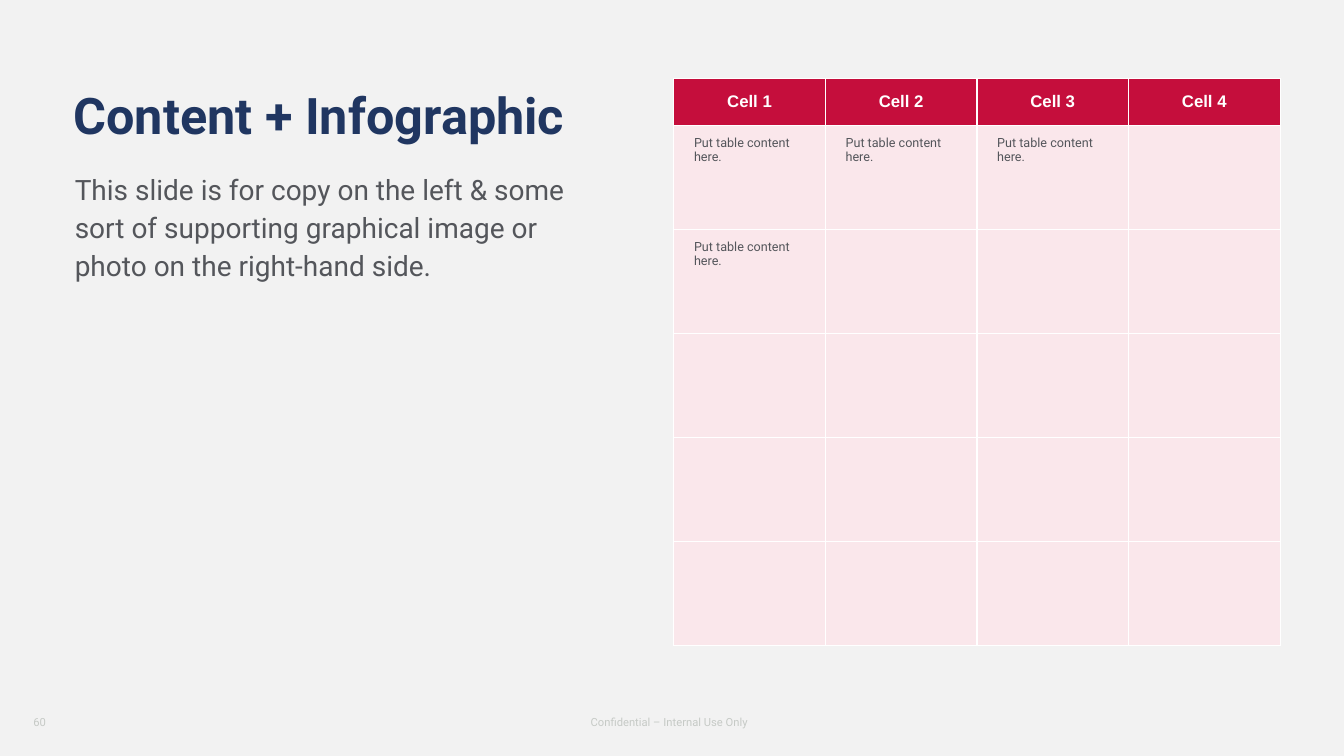
from dataclasses import dataclass
from typing import Any

from lxml.etree import SubElement
from pptx import Presentation
from pptx.dml.color import RGBColor
from pptx.enum.shapes import MSO_SHAPE
from pptx.enum.text import MSO_ANCHOR, MSO_AUTO_SIZE, PP_ALIGN
from pptx.oxml.ns import qn
from pptx.util import Cm, Pt

WHITE, RED, PINK = "FFFFFF", "C50E3C", "FAE7EB"
NAVY, GREY, PALE, BACK = "203661", "54565B", "C6CAC6", "F2F2F2"
SIDES = ("a:lnL", "a:lnR", "a:lnT", "a:lnB")


@dataclass
class Style:
    size: float
    color: str
    face: str = "Roboto"
    bold: bool = False
    align: Any = PP_ALIGN.LEFT
    space: float | None = None


@dataclass
class Block:
    text: str
    left: float
    top: float
    width: float
    height: float
    style: Style
    anchor: Any


HEAD = Style(12, WHITE, "Arial", True, PP_ALIGN.CENTER)
CELL = Style(9, GREY)
TITLE = Block("Content + Infographic", 1.6, 1.02, 30.48, 2.74,
              Style(36, NAVY, bold=True, space=0.8), MSO_ANCHOR.BOTTOM)
BODY = Block("This slide is for copy on the left & some sort of supporting "
             "graphical image or photo on the right-hand side.",
             1.63, 4.09, 13.79, 11.81, Style(20, GREY, space=1.14), MSO_ANCHOR.TOP)
NOTES = (
    Block("Confidential – Internal Use Only", 13.06, 17.78, 7.62, 0.81,
          Style(8, PALE, align=PP_ALIGN.CENTER), MSO_ANCHOR.MIDDLE),
    Block("60", 0.59, 17.78, 7.62, 0.81, Style(8, PALE), MSO_ANCHOR.MIDDLE),
)
HINT = "Put table content here."
ROWS = (
    ("Cell 1", "Cell 2", "Cell 3", "Cell 4"),
    (HINT, HINT, HINT, ""),
    (HINT, "", "", ""),
    *(("",) * 4,) * 3,
)
COL, TOP_ROW, ROW = 3.82, 1.18, 2.62


def apply(item: Any, values: dict[str, Any]) -> None:
    for name, value in values.items():
        setattr(item, name, value)


def paint(target: Any, color: str) -> None:
    target.solid()
    target.fore_color.rgb = RGBColor.from_string(color)


def write(frame: Any, text: str, style: Style) -> None:
    frame.text = text
    para = frame.paragraphs[0]
    apply(para, {"alignment": style.align, "line_spacing": style.space,
                 "space_before": Pt(0)})
    font = para.runs[0].font if text else para.font
    apply(font, {"size": Pt(style.size), "name": style.face, "bold": style.bold})
    paint(font.fill, style.color)


def place(shape: Any, block: Block) -> None:
    apply(shape, {"left": Cm(block.left), "top": Cm(block.top),
                  "width": Cm(block.width), "height": Cm(block.height)})
    apply(shape.text_frame, {"word_wrap": True, "auto_size": MSO_AUTO_SIZE.NONE,
                             "vertical_anchor": block.anchor})
    write(shape.text_frame, block.text, block.style)


def plain(para: Any) -> None:
    props = para._p.get_or_add_pPr()
    props.set("marL", "0")
    props.set("indent", "0")
    SubElement(props, qn("a:buNone"))


def panel(slide: Any, wide: int, high: int) -> None:
    shape = slide.shapes.add_shape(MSO_SHAPE.RECTANGLE, 0, 0, wide, high)
    shape.shadow.inherit = False
    paint(shape.fill, BACK)
    shape.line.fill.background()
    slide.shapes._spTree.insert(2, shape._element)


def border(cell: Any) -> None:
    props = cell._tc.get_or_add_tcPr()
    for spot, side in enumerate(SIDES):
        line = SubElement(props, qn(side), w=str(Pt(1)))
        fill = SubElement(line, qn("a:solidFill"))
        SubElement(fill, qn("a:srgbClr"), val=WHITE)
        props.insert(spot, line)


def grid(slide: Any) -> None:
    wide, deep = len(ROWS[0]), len(ROWS)
    table = slide.shapes.add_table(
        deep, wide, Cm(16.98), Cm(1.98), Cm(COL * wide),
        Cm(TOP_ROW + ROW * (deep - 1))).table
    for col in table.columns:
        col.width = Cm(COL)
    for y, texts in enumerate(ROWS):
        head = y == 0
        table.rows[y].height = Cm(TOP_ROW if head else ROW)
        side, edge = (Cm(0.25), Cm(0.13)) if head else (Cm(0.51), Cm(0.25))
        for x, text in enumerate(texts):
            cell = table.cell(y, x)
            apply(cell, {
                "margin_left": side, "margin_right": side,
                "margin_top": edge, "margin_bottom": edge,
                "vertical_anchor": MSO_ANCHOR.MIDDLE if head else MSO_ANCHOR.TOP})
            write(cell.text_frame, text, HEAD if head else CELL)
            paint(cell.fill, RED if head else PINK)
            border(cell)


def main() -> None:
    deck = Presentation()
    apply(deck, {"slide_width": Cm(33.87), "slide_height": Cm(19.05)})
    slide = deck.slides.add_slide(deck.slide_layouts[1])
    panel(slide, deck.slide_width, deck.slide_height)
    place(slide.shapes.title, TITLE)
    body = slide.placeholders[1]
    place(body, BODY)
    plain(body.text_frame.paragraphs[0])
    for note in NOTES:
        place(slide.shapes.add_textbox(0, 0, 0, 0), note)
    grid(slide)
    deck.save("out.pptx")


if __name__ == "__main__":
    main()
